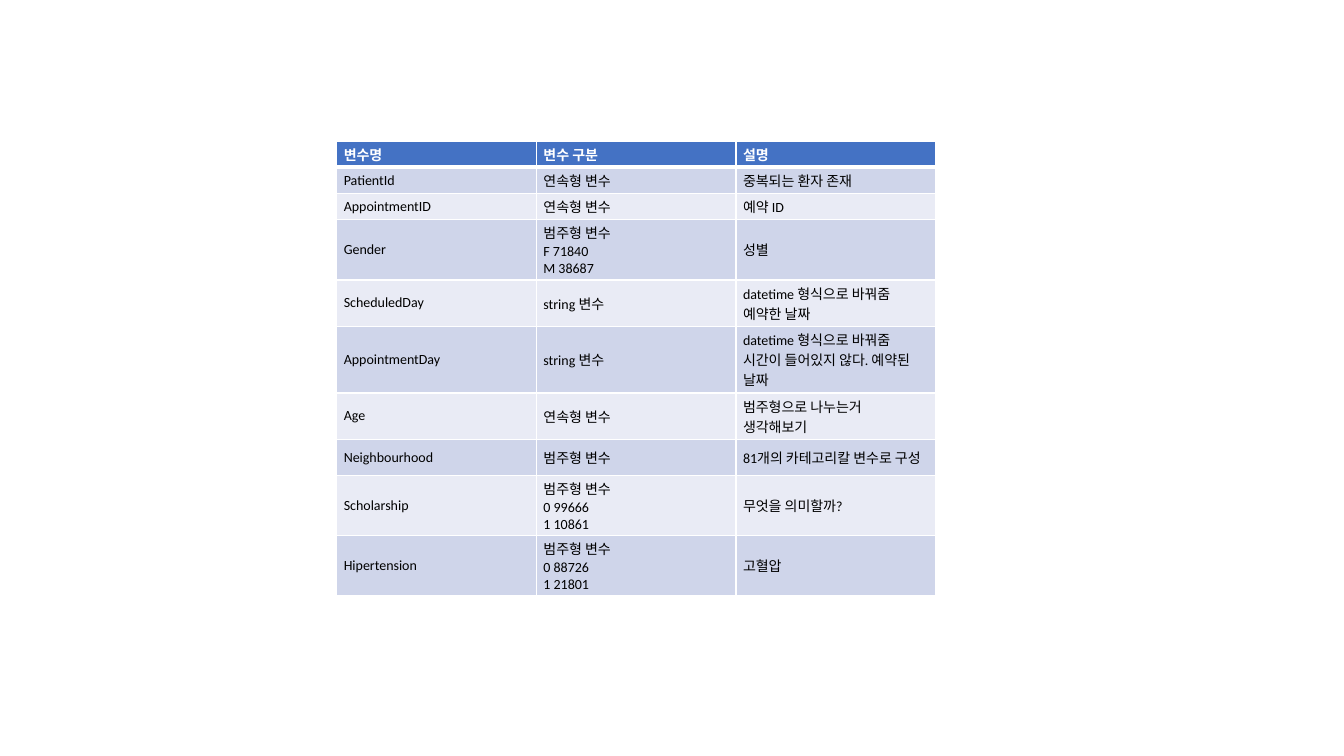
from lxml.etree import SubElement
from pptx import Presentation
from pptx.dml.color import RGBColor
from pptx.enum.text import MSO_ANCHOR
from pptx.oxml.ns import qn
from pptx.util import Inches, Pt

HEADER_FILL = "4472C4"
BAND_FILLS = ("CFD5EA", "E9EBF5")
WHITE, BLACK = "FFFFFF", "000000"
THIN, THICK = Pt(1), Pt(3)

ROW_HEIGHTS = (0.2, 0.2, 0.2, 0.53, 0.36, 0.66, 0.36, 0.36, 0.53, 0.53)
VARIABLES = (
    ("변수명", "변수 구분", "설명"),
    ("PatientId", "연속형 변수", "중복되는 환자 존재"),
    ("AppointmentID", "연속형 변수", "예약 ID"),
    ("Gender", "범주형 변수\nF 71840\nM 38687", "성별"),
    ("ScheduledDay", "string 변수", "datetime 형식으로 바꿔줌 예약한 날짜"),
    ("AppointmentDay", "string 변수",
     "datetime 형식으로 바꿔줌 시간이 들어있지 않다. 예약된 날짜"),
    ("Age", "연속형 변수", "범주형으로 나누는거 생각해보기"),
    ("Neighbourhood", "범주형 변수", "81개의 카테고리칼 변수로 구성"),
    ("Scholarship", "범주형 변수\n0 99666\n1 10861", "무엇을 의미할까?"),
    ("Hipertension", "범주형 변수\n0 88726\n1 21801", "고혈압"),
)


def color(hex_code):
    return RGBColor.from_string(hex_code)


def add_borders(cell, top, bottom):
    """Draw white cell edges; must run before the fill, which follows them in the XML."""
    widths = {"a:lnL": THIN, "a:lnR": THIN, "a:lnT": top, "a:lnB": bottom}
    properties = cell._tc.get_or_add_tcPr()
    for edge, width in widths.items():
        line = SubElement(properties, qn(edge), w=str(int(width)))
        solid = SubElement(line, qn("a:solidFill"))
        SubElement(solid, qn("a:srgbClr"), val=WHITE)


def format_cell(cell, text, row):
    is_header = row == 0
    add_borders(cell, THICK if row == 1 else THIN, THICK if is_header else THIN)
    cell.fill.solid()
    cell.fill.fore_color.rgb = color(HEADER_FILL if is_header else BAND_FILLS[(row - 1) % 2])
    cell.vertical_anchor = MSO_ANCHOR.MIDDLE
    cell.margin_left = cell.margin_right = Inches(0.07)
    cell.margin_top = cell.margin_bottom = Inches(0.03)
    cell.text = text
    for paragraph in cell.text_frame.paragraphs:
        paragraph.font.name = "Calibri"
        paragraph.font.size = Pt(10)
        paragraph.font.bold = is_header
        paragraph.font.color.rgb = color(WHITE if is_header else BLACK)


def add_variable_table(slide, left, top, width):
    columns = len(VARIABLES[0])
    table = slide.shapes.add_table(
        len(VARIABLES), columns, left, top, width, Inches(sum(ROW_HEIGHTS))
    ).table
    for column in table.columns:
        column.width = width // columns
    for row, (texts, height) in enumerate(zip(VARIABLES, ROW_HEIGHTS)):
        table.rows[row].height = Inches(height)
        for column, text in enumerate(texts):
            format_cell(table.cell(row, column), text, row)


def main():
    deck = Presentation()
    deck.slide_width, deck.slide_height = Inches(13.33), Inches(7.5)
    slide = deck.slides.add_slide(deck.slide_layouts[6])
    add_variable_table(slide, Inches(3.34), Inches(1.4), Inches(5.94))
    deck.save("out.pptx")


if __name__ == "__main__":
    main()
